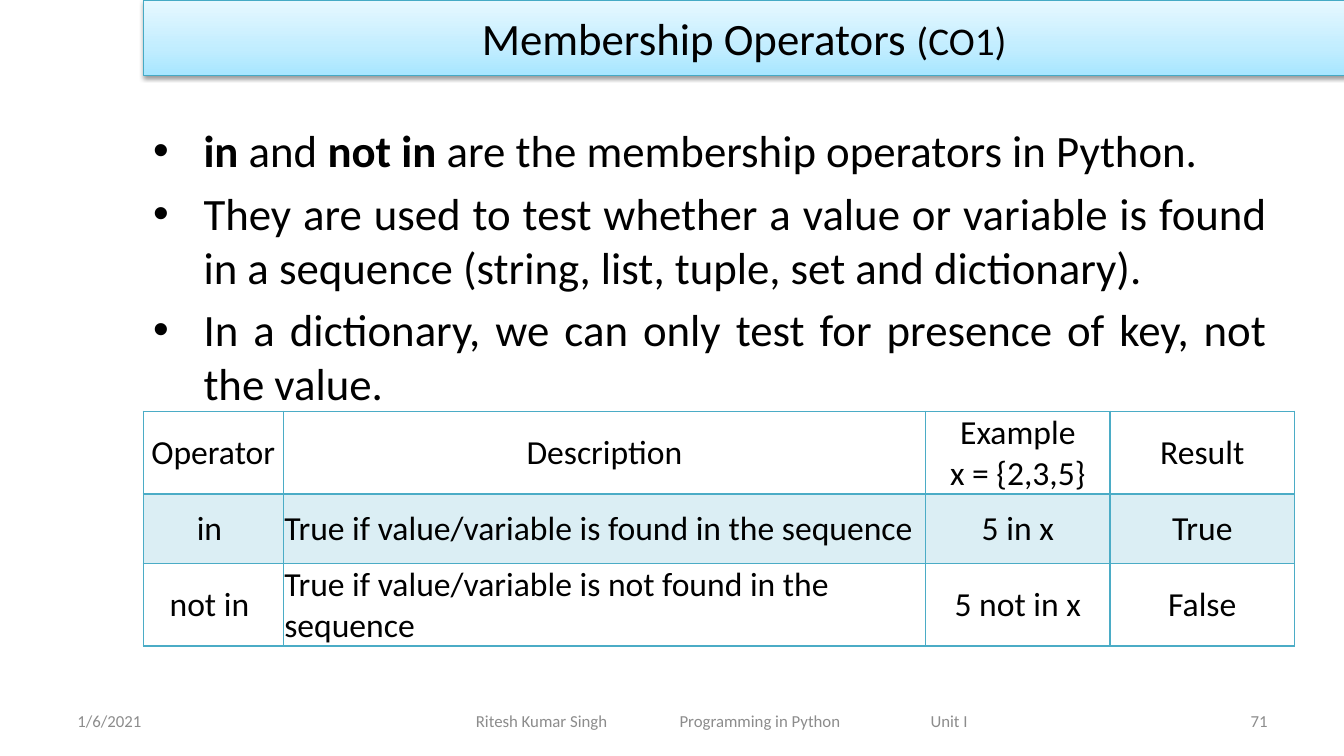
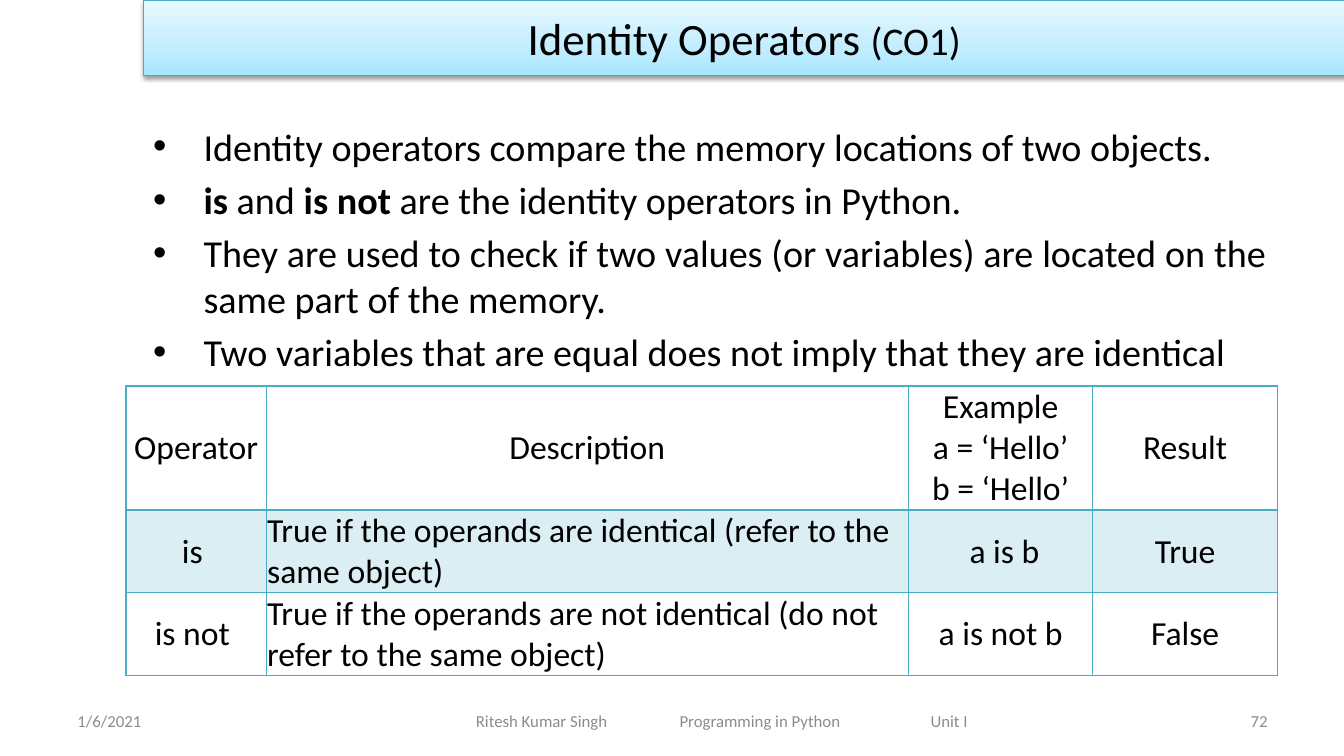
from dataclasses import dataclass
from lxml.etree import SubElement
from pptx import Presentation
from pptx.dml.color import RGBColor
from pptx.enum.shapes import MSO_SHAPE as Shape
from pptx.enum.text import MSO_ANCHOR as Anchor, PP_ALIGN as Align
from pptx.oxml import parse_xml
from pptx.oxml.ns import nsdecls, qn
from pptx.util import Inches, Pt


@dataclass(frozen=True)
class Theme:
    font: str = "Calibri"
    ink: str = "000000"
    muted: str = "8C8C8C"
    paper: str = "FFFFFF"
    stripe: str = "DBEEF4"
    grid: str = "4BACC6"
    band_line: str = "46AAC5"
    band_stops: tuple = ((0, "A7E6FF"), (35, "C1EDFF"), (100, "E7F8FF"))
    title_size: float = 32
    outcome_size: float = 28
    table_size: float = 24
    footer_size: float = 12


THEME = Theme()
BAND_BOX = (1.42, 0, 11.92, 0.75)
DATE_BOX = (0.67, 6.95, 3.11, 0.4)
COURSE_BOX = (4.42, 6.95, 5.5, 0.4)
NUMBER_BOX = (9.56, 6.95, 3.11, 0.4)
COLUMN_WIDTHS = (1.39, 6.37, 1.83, 1.83)

SLIDES = [
    {
        "title": "Membership Operators ",
        "number": "71",
        "body_box": (1.42, 1.17, 11.25, 2.92),
        "body_size": 32,
        "points": [
            [("in", True), (" and ", False), ("not in ", True),
             ("are the membership operators in Python. ", False)],
            [("They are used to test whether a value or variable is found in a "
              "sequence (string, list, tuple, set and dictionary).", False)],
            [("In a dictionary, we can only test for presence of key, not the value.", False)],
        ],
        "table_at": (1.42, 4.08),
        "row_heights": (0.82, 0.69, 0.82),
        "rows": [
            ("Operator", "Description", "Example\nx = {2,3,5}", "Result"),
            ("in ", "True if value/variable is found in the sequence", "5 in x", "True"),
            ("not in ", "True if value/variable is not found in the sequence", "5 not in x", "False"),
        ],
    },
    {
        "title": "Identity Operators ",
        "number": "72",
        "body_box": (1.42, 1.17, 11.25, 2.58),
        "body_size": 27.2,
        "points": [
            [("Identity operators compare the memory locations of two objects. ", False)],
            [("is", True), (" and ", False), ("is not", True),
             (" are the identity operators in Python.", False)],
            [("They are used to check if two values (or variables) are located on the "
              "same part of the memory. ", False)],
            [("Two variables that are equal does not imply that they are identical", False)],
        ],
        "table_at": (1.25, 3.83),
        "row_heights": (1.23, 0.82, 0.82),
        "rows": [
            ("Operator", "Description", "Example\na = ‘Hello’\nb = ‘Hello’", "Result"),
            ("is ", "True if the operands are identical (refer to the same object)", " a is b", "True"),
            ("is not ", "True if the operands are not identical (do not refer to the same object)",
             "a is not b", "False"),
        ],
    },
]


def rgb(value):
    return RGBColor.from_string(value)


def add_run(paragraph, text, size, color=THEME.ink, bold=False):
    run = paragraph.add_run()
    run.text = text
    run.font.name = THEME.font
    run.font.size = Pt(size)
    run.font.bold = bold
    run.font.color.rgb = rgb(color)


def add_text_frame(slide, box, anchor):
    frame = slide.shapes.add_textbox(*map(Inches, box)).text_frame
    frame.word_wrap = True
    frame.vertical_anchor = anchor
    return frame


def nth_paragraph(frame, index):
    return frame.paragraphs[0] if index == 0 else frame.add_paragraph()


def add_title_band(slide, box, title):
    band = slide.shapes.add_shape(Shape.RECTANGLE, *map(Inches, box))
    band.shadow.inherit = False
    band.line.color.rgb = rgb(THEME.band_line)
    band.line.width = Pt(0.75)
    stops = "".join(
        f'<a:gs pos="{position * 1000}"><a:srgbClr val="{color}"/></a:gs>'
        for position, color in THEME.band_stops
    )
    properties = band._element.spPr
    properties.find(qn("a:prstGeom")).addnext(parse_xml(
        f'<a:gradFill {nsdecls("a")} rotWithShape="1"><a:gsLst>{stops}</a:gsLst>'
        '<a:lin ang="16200000" scaled="0"/></a:gradFill>'
    ))
    properties.find(qn("a:effectLst")).append(parse_xml(
        f'<a:outerShdw {nsdecls("a")} blurRad="{Pt(3.1)}" dist="{Pt(1.6)}" dir="5400000" '
        f'rotWithShape="0"><a:srgbClr val="{THEME.ink}"><a:alpha val="38000"/></a:srgbClr>'
        '</a:outerShdw>'
    ))
    band.text_frame.vertical_anchor = Anchor.MIDDLE
    heading = band.text_frame.paragraphs[0]
    heading.alignment = Align.CENTER
    add_run(heading, title, THEME.title_size)
    add_run(heading, "(CO1)", THEME.outcome_size)


def add_points(slide, box, points, size):
    frame = add_text_frame(slide, box, Anchor.TOP)
    for index, pieces in enumerate(points):
        point = nth_paragraph(frame, index)
        point.alignment = Align.JUSTIFY
        point.space_before = Pt(size * 0.2)
        layout = point._p.get_or_add_pPr()
        layout.set("marL", str(Inches(0.5)))
        layout.set("indent", str(-Inches(0.5)))
        SubElement(layout, qn("a:buFont"), typeface="Arial")
        SubElement(layout, qn("a:buChar"), char="•")
        for text, bold in pieces:
            add_run(point, text, size, bold=bold)


def set_borders(cell, widths):
    properties = cell._tc.get_or_add_tcPr()
    for index, (side, width) in enumerate(zip("LRTB", widths)):
        properties.insert(index, parse_xml(
            f'<a:ln{side} {nsdecls("a")} w="{Pt(width)}"><a:solidFill>'
            f'<a:srgbClr val="{THEME.grid}"/></a:solidFill></a:ln{side}>'
        ))


def fill_cell(cell, text, row, column):
    cell.margin_left = cell.margin_right = cell.margin_top = Inches(0.01)
    cell.margin_bottom = 0
    cell.vertical_anchor = Anchor.MIDDLE
    cell.fill.solid()
    cell.fill.fore_color.rgb = rgb(THEME.stripe if row == 1 else THEME.paper)
    set_borders(cell, (1, 1, 2 if row == 1 else 1, 2 if row == 0 else 1))
    for index, line in enumerate(text.split("\n")):
        paragraph = nth_paragraph(cell.text_frame, index)
        is_description = row > 0 and column == 1
        paragraph.alignment = Align.LEFT if is_description else Align.CENTER
        add_run(paragraph, line, THEME.table_size)


def add_operator_table(slide, corner, rows, heights):
    box = (*corner, sum(COLUMN_WIDTHS), sum(heights))
    table = slide.shapes.add_table(len(rows), len(COLUMN_WIDTHS), *map(Inches, box)).table
    table.first_row = table.horz_banding = False
    for column, width in zip(table.columns, COLUMN_WIDTHS):
        column.width = Inches(width)
    for row, (texts, height) in enumerate(zip(rows, heights)):
        table.rows[row].height = Inches(height)
        for column, text in enumerate(texts):
            fill_cell(table.cell(row, column), text, row, column)


def add_footer_text(slide, box, text, align=Align.LEFT):
    frame = add_text_frame(slide, box, Anchor.MIDDLE)
    paragraph = frame.paragraphs[0]
    paragraph.alignment = align
    add_run(paragraph, text, THEME.footer_size, THEME.muted)
    return frame


def add_footer(slide, number):
    add_footer_text(slide, DATE_BOX, "1/6/2021")
    add_footer_text(slide, NUMBER_BOX, number, Align.RIGHT)
    course = add_footer_text(slide, COURSE_BOX, "Ritesh Kumar Singh\tProgramming in Python\tUnit I")
    course.margin_left = Inches(0.3)
    tabs = SubElement(course.paragraphs[0]._p.get_or_add_pPr(), qn("a:tabLst"))
    for position in (2.02, 4.51):
        SubElement(tabs, qn("a:tab"), pos=str(Inches(position)), algn="l")


def add_operator_slide(deck, content):
    slide = deck.slides.add_slide(deck.slide_layouts[6])
    add_points(slide, content["body_box"], content["points"], content["body_size"])
    add_title_band(slide, BAND_BOX, content["title"])
    add_operator_table(slide, content["table_at"], content["rows"], content["row_heights"])
    add_footer(slide, content["number"])


def main():
    deck = Presentation()
    deck.slide_width = Inches(13.33)
    deck.slide_height = Inches(7.5)
    for content in SLIDES:
        add_operator_slide(deck, content)
    deck.save("out.pptx")


if __name__ == "__main__":
    main()
